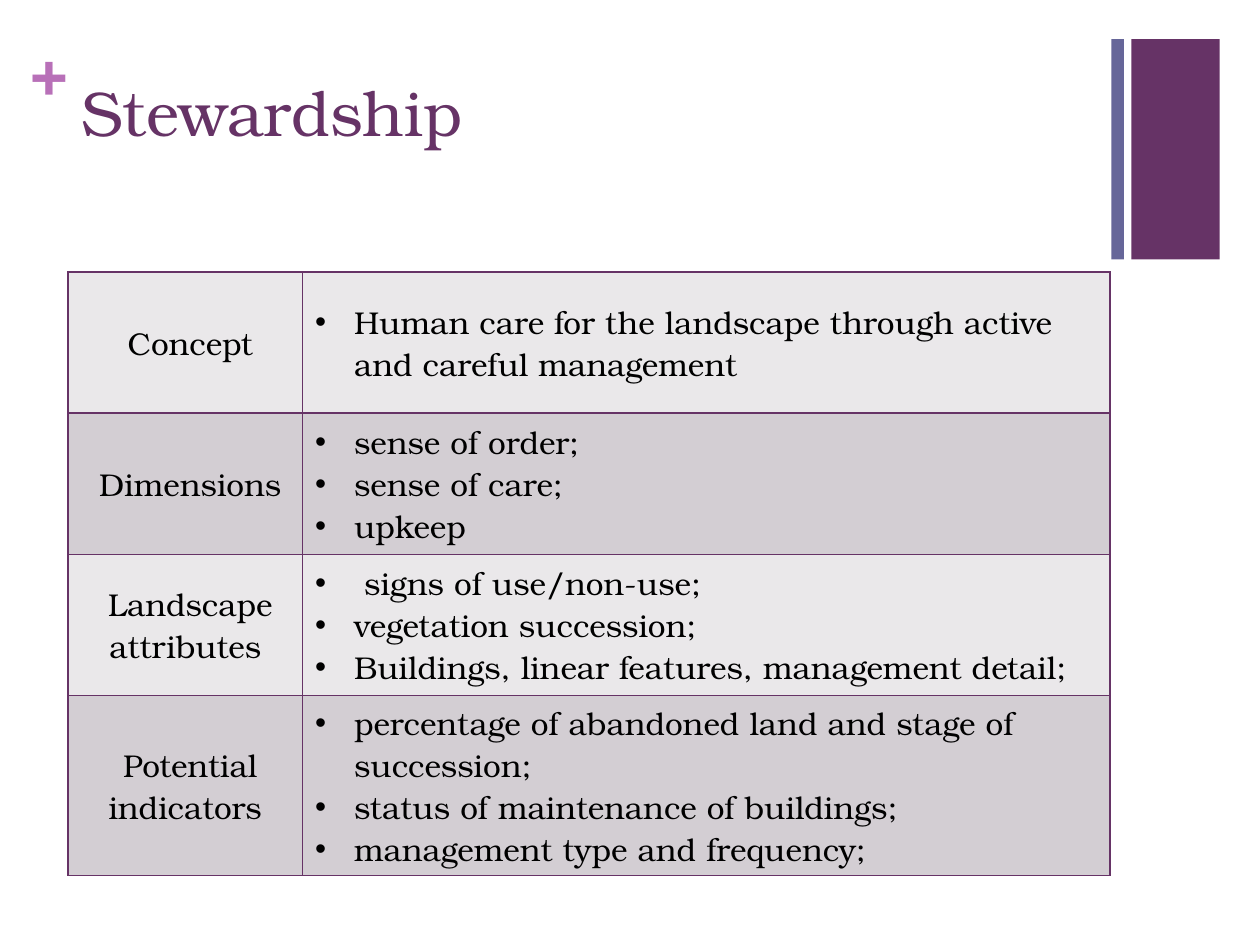
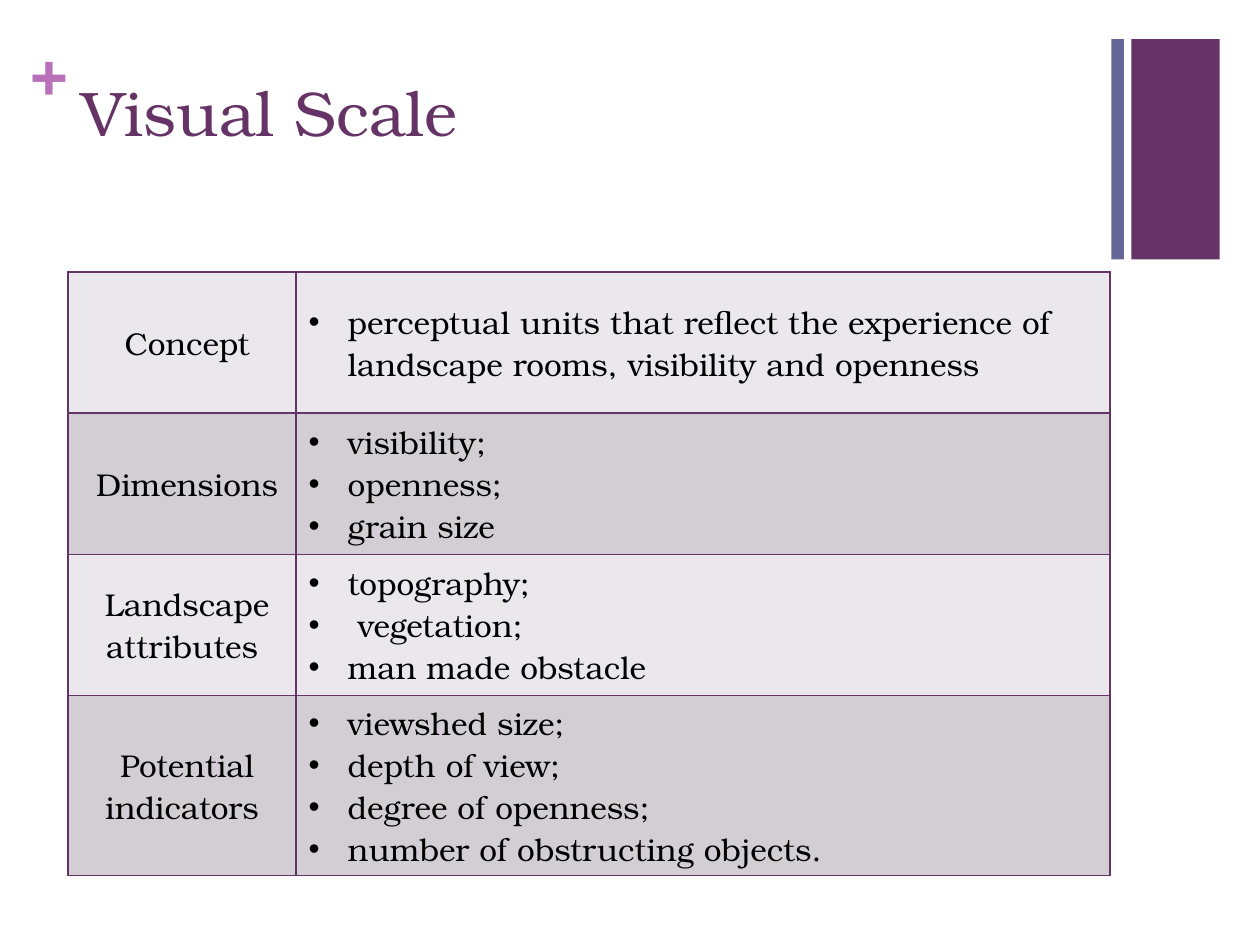
from lxml import etree
from pptx import Presentation
from pptx.dml.color import RGBColor
from pptx.enum.shapes import MSO_SHAPE
from pptx.enum.text import MSO_ANCHOR, MSO_AUTO_SIZE, PP_ALIGN
from pptx.oxml.ns import qn
from pptx.util import Inches, Pt

RECT = MSO_SHAPE.RECTANGLE
TOP, MIDDLE = MSO_ANCHOR.TOP, MSO_ANCHOR.MIDDLE
LEFT, CENTER = PP_ALIGN.LEFT, PP_ALIGN.CENTER
NO_FIT = MSO_AUTO_SIZE.NONE

FONT = "TeX Gyre Bonum"
PLUM, BLUE, PINK, BLACK = "663366", "666699", "B870B8", "000000"
ROW_FILLS = ["EAE8EA", "D3CED3"]
WIDTH, HEIGHT = 10, 7.5
MARGIN, BODY_W = 0.55, 8.26
BAND_TOP, BAND_H = 0.31, 1.75
GRID_LEFT, GRID_TOP, GRID_W = 0.54, 2.16, 8.27
ROW_HEIGHTS = [1.12, 1.12, 1.12, 1.43]
INDENT = 0.31

LABELS = [" Concept", " Dimensions", " Landscape attributes", " Potential indicators"]
TOPICS = [
    ("Stewardship", 1.86, [
        ["Human care for the landscape through active and careful management"],
        ["sense of order;", "sense of care;", "upkeep"],
        [" signs of use/non-use;", "vegetation succession;",
         "Buildings, linear features, management detail;"],
        ["percentage of abandoned land and stage of succession;",
         "status of maintenance of buildings;",
         "management type and frequency;"],
    ]),
    ("Visual Scale", 1.81, [
        ["perceptual units that reflect the experience of landscape rooms, "
         "visibility and openness"],
        ["visibility;", "openness;", "grain size"],
        ["topography;", " vegetation;", "man made obstacle"],
        ["viewshed size;", "depth of view;", "degree of openness;",
         "number of obstructing objects."],
    ]),
]


def color(code):
    return RGBColor.from_string(code)


def box(*sizes):
    return [Inches(size) for size in sizes]


def style(par, size, code, align=LEFT, bold=False):
    par.alignment = align
    for run in par.runs:
        font = run.font
        font.name, font.size, font.bold = FONT, Pt(size), bold
        font.color.rgb = color(code)


def add_band(slide, left, width, code):
    band = slide.shapes.add_shape(RECT, *box(left, BAND_TOP, width, BAND_H))
    band.shadow.inherit = False
    band.fill.solid()
    band.fill.fore_color.rgb = color(code)
    band.line.fill.background()


def add_plus(slide):
    frame = slide.shapes.add_textbox(*box(0.24, 0.25, 0.29, 0.61)).text_frame
    frame.margin_left = frame.margin_right = 0
    frame.margin_top = frame.margin_bottom = 0
    frame.word_wrap = True
    frame.text = "+"
    style(frame.paragraphs[0], 36, PINK, bold=True)


def set_title(slide, text):
    title = slide.shapes.title
    title.left, title.top, title.width, title.height = box(MARGIN, 0.53, BODY_W, 1.22)
    frame = title.text_frame
    frame.text = text
    frame.auto_size = NO_FIT
    frame.vertical_anchor = TOP
    style(frame.paragraphs[0], 36, PLUM)


def add_bullet(par):
    props = par._p.get_or_add_pPr()
    props.set("marL", str(Inches(INDENT)))
    props.set("indent", str(-Inches(INDENT)))
    etree.SubElement(props, qn("a:buFont"), typeface="Arial")
    etree.SubElement(props, qn("a:buChar"), char="•")


def add_border(cell):
    props = cell._tc.get_or_add_tcPr()
    for side in "LRTB":
        line = etree.SubElement(props, qn("a:ln" + side), w=str(Pt(1)))
        fill = etree.SubElement(line, qn("a:solidFill"))
        etree.SubElement(fill, qn("a:srgbClr"), val=PLUM)


def fill_cell(cell, lines, code, bullets):
    add_border(cell)
    cell.fill.solid()
    cell.fill.fore_color.rgb = color(code)
    cell.vertical_anchor = MIDDLE
    frame = cell.text_frame
    frame.text = "\n".join(lines)
    for par in frame.paragraphs:
        if bullets:
            add_bullet(par)
        style(par, 18, BLACK, LEFT if bullets else CENTER)


def add_grid(slide, label_w, items):
    place = box(GRID_LEFT, GRID_TOP, GRID_W, sum(ROW_HEIGHTS))
    table = slide.shapes.add_table(len(LABELS), 2, *place).table
    table.first_row = table.horz_banding = False
    table.columns[0].width, table.columns[1].width = box(label_w, GRID_W - label_w)
    for row, (label, lines) in enumerate(zip(LABELS, items)):
        table.rows[row].height = Inches(ROW_HEIGHTS[row])
        code = ROW_FILLS[row % 2]
        fill_cell(table.cell(row, 0), [label], code, False)
        fill_cell(table.cell(row, 1), lines, code, True)


def add_topic(deck, title, label_w, items):
    slide = deck.slides.add_slide(deck.slide_layouts.get_by_name("Title Only"))
    add_band(slide, 8.98, 0.7, PLUM)
    add_plus(slide)
    add_band(slide, 8.82, 0.1, BLUE)
    set_title(slide, title)
    add_grid(slide, label_w, items)


def main():
    deck = Presentation()
    deck.slide_width, deck.slide_height = box(WIDTH, HEIGHT)
    for topic in TOPICS:
        add_topic(deck, *topic)
    deck.save("out.pptx")


if __name__ == "__main__":
    main()
